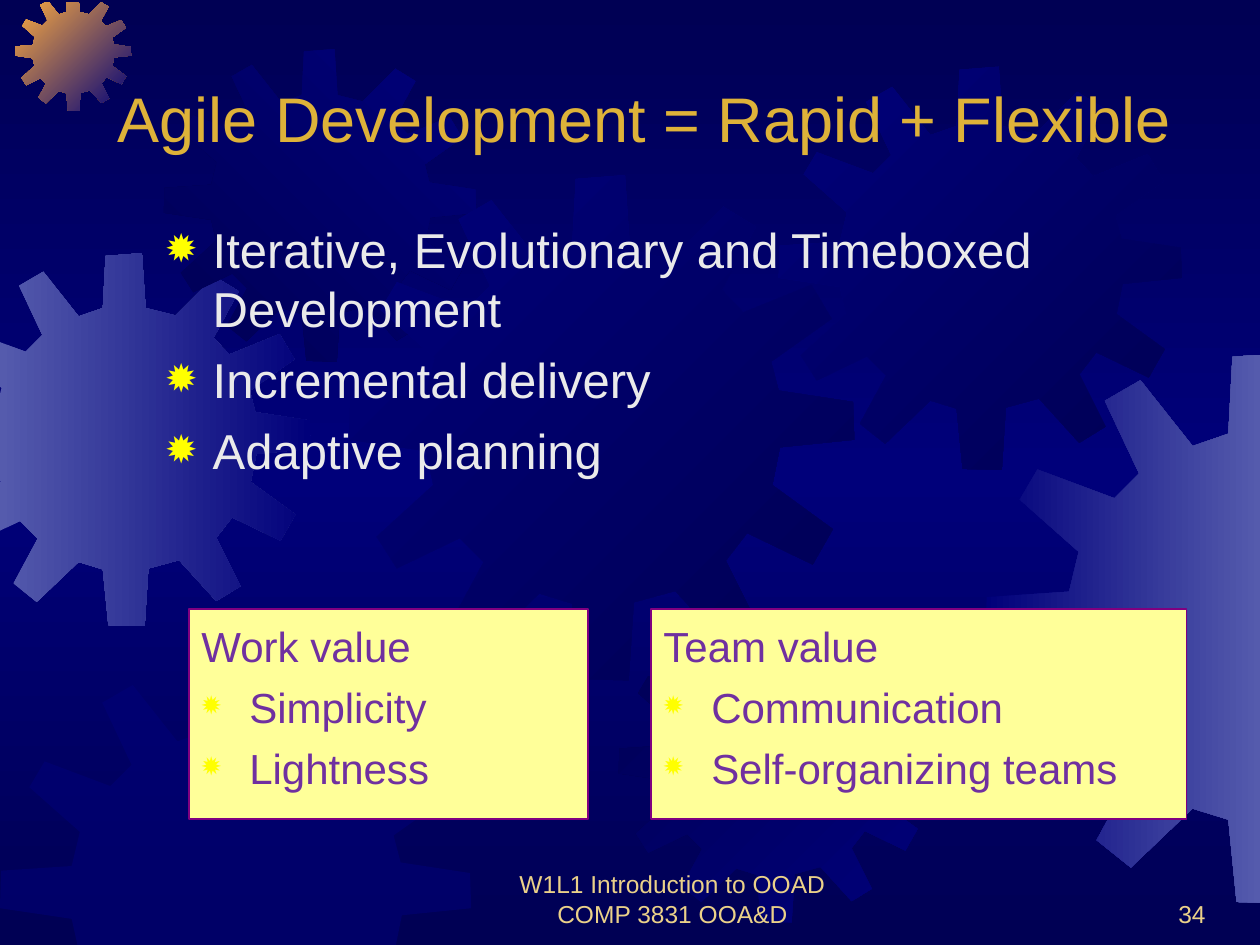
import copy
import dataclasses
import typing

import pptx
import pptx.dml.color
import pptx.enum.shapes
import pptx.enum.text
import pptx.oxml
import pptx.oxml.ns
import pptx.util

WIDTH, HEIGHT = 10, 7.5
UNIT = 1 / 12
NAVY, BLUE, LAVENDER = "000054", "00007A", "555BAD"
FONT = "Arial"
ALIGN = pptx.enum.text.PP_ALIGN
ANCHOR = pptx.enum.text.MSO_ANCHOR
GEAR_SPAN = 401
GEAR_OUTLINE = [
    (255, 67), (223, 59), (219, 0), (180, 3), (177, 59), (151, 68), (113, 20), (87, 35),
    (112, 88), (94, 106), (38, 85), (25, 107), (68, 145), (61, 174), (1, 178), (0, 210),
    (61, 219), (67, 246), (22, 287), (38, 312), (88, 288), (107, 307), (81, 355), (106, 375),
    (151, 332), (177, 340), (183, 400), (222, 401), (226, 339), (259, 330), (299, 374), (325, 358),
    (299, 306), (316, 284), (368, 309), (384, 281), (336, 246), (342, 216), (401, 210), (400, 180),
    (341, 171), (335, 148), (383, 114), (367, 87), (313, 109), (296, 91), (323, 41), (297, 25),
]
Point = typing.Tuple[float, float]


@dataclasses.dataclass
class Area:
    """A place on the grid of 120 columns by 90 rows."""
    column: float
    row: float
    columns: float
    rows: float

    def lengths(self) -> list:
        return [pptx.util.Inches(part * UNIT) for part in dataclasses.astuple(self)]


@dataclasses.dataclass
class Gear:
    """A background gear, in inches, with its gradient or half-clear colour."""
    left: float
    top: float
    size: float
    colors: typing.List[str]
    angle: float = 0


@dataclasses.dataclass
class Line:
    """One paragraph of text."""
    text: str
    bullet: bool = False
    right_margin: float = 0


@dataclasses.dataclass
class Style:
    """The look of the text in one box."""
    size: float
    color: str
    align: typing.Any = ALIGN.LEFT
    anchor: typing.Any = ANCHOR.TOP
    gap: float = 0


GEARS = [
    Gear(-0.49, 2.01, 2.96, [LAVENDER, BLUE]),
    Gear(0.12, -0.04, 0.92, ["FCAB40", BLUE], 45),
    Gear(1.3, 0.39, 2.48, [NAVY, BLUE], 315),
    Gear(2.77, 1.39, 4.01, [BLUE, NAVY], 45),
    Gear(0, 5.25, 3.74, [BLUE]),
    Gear(4.91, 4.84, 2.48, [NAVY, BLUE], 45),
    Gear(6.18, 0.53, 3.2, [BLUE, NAVY], 45),
    Gear(7.82, 2.8, 4.37, [BLUE, LAVENDER]),
]
PANELS = [
    (Area(62, 58, 51, 20), ["Team value", "Communication", "Self-organizing teams"]),
    (Area(18, 58, 38, 20), ["Work value", "Simplicity", "Lightness"]),
]


def color(code: str) -> pptx.dml.color.RGBColor:
    """Turn a hex string into a colour."""
    return pptx.dml.color.RGBColor.from_string(code)


def add_element(parent, tag: str, **attributes: str):
    """Append a drawing element to its parent."""
    child = pptx.oxml.parse_xml(f"<a:{tag} {pptx.oxml.ns.nsdecls('a')}/>")
    for name, value in attributes.items():
        child.set(name, value)
    parent.append(child)
    return child


def paint_gradient(fill, colors: typing.List[str], angle: float) -> None:
    """Fill with two colours along a clockwise angle."""
    fill.gradient()
    fill.gradient_angle = -angle % 360
    for stop, code in zip(fill.gradient_stops, colors):
        stop.color.rgb = color(code)


def paint_background(slide) -> None:
    """Shade the slide from navy to blue and back."""
    paint_gradient(slide.background.fill, [NAVY, BLUE], 90)
    stops = slide.element.find(".//" + pptx.oxml.ns.qn("a:gsLst"))
    last = copy.deepcopy(stops[0])
    last.set("pos", "100000")
    stops[1].set("pos", "50000")
    stops.append(last)


def clip(points: typing.List[Point], axis: int, limit: float, side: int) -> typing.List[Point]:
    """Cut an outline at a limit, keeping the side below (1) or above (-1)."""
    kept = []
    for start, end in zip(points[-1:] + points[:-1], points):
        start_inside = side * start[axis] <= side * limit
        end_inside = side * end[axis] <= side * limit
        if start_inside != end_inside:
            share = (limit - start[axis]) / (end[axis] - start[axis])
            kept.append(tuple(a + share * (b - a) for a, b in zip(start, end)))
        if end_inside:
            kept.append(end)
    return kept


def draw_gear(slide, gear: Gear) -> None:
    """Draw a gear cut at the slide's edges."""
    scale = gear.size / GEAR_SPAN
    points = [(gear.left + x * scale, gear.top + y * scale) for x, y in GEAR_OUTLINE]
    for axis, limit, side in [(0, 0, -1), (0, WIDTH, 1), (1, 0.02, -1), (1, HEIGHT, 1)]:
        points = clip(points, axis, limit, side)
    corners = [tuple(pptx.util.Inches(part) for part in point) for point in points]
    builder = slide.shapes.build_freeform(*corners[0])
    builder.add_line_segments(corners[1:], close=True)
    shape = builder.convert_to_shape()
    shape.shadow.inherit = False
    shape.line.fill.background()
    if len(gear.colors) > 1:
        paint_gradient(shape.fill, gear.colors, gear.angle)
    else:
        shape.fill.solid()
        shape.fill.fore_color.rgb = color(gear.colors[0])
        tint = shape.element.spPr.find(".//" + pptx.oxml.ns.qn("a:srgbClr"))
        add_element(tint, "alpha", val="50000")


def write(box, lines: typing.List[Line], style: Style) -> None:
    """Write styled paragraphs into a box."""
    frame = box.text_frame
    frame.word_wrap = True
    frame.vertical_anchor = style.anchor
    for index, line in enumerate(lines):
        para = frame.add_paragraph() if index else frame.paragraphs[0]
        properties = para._p.get_or_add_pPr()
        if line.bullet:
            indent = pptx.util.Inches(0.38)
            properties.set("marL", str(indent))
            properties.set("indent", str(-indent))
            add_element(add_element(properties, "buClr"), "srgbClr", val="FFFF00")
            add_element(properties, "buSzPct", val="80000")
            add_element(properties, "buChar", char="✹")
        if line.right_margin:
            properties.set("marR", str(pptx.util.Inches(line.right_margin)))
        para.alignment = style.align
        para.space_before = pptx.util.Pt(style.gap if index else 0)
        span = para.add_run()
        span.text = line.text
        span.font.name = FONT
        span.font.size = pptx.util.Pt(style.size)
        span.font.color.rgb = color(style.color)


def place(slide, box, area: Area) -> None:
    """Move a placeholder to an area and bring it to the front."""
    box.left, box.top, box.width, box.height = area.lengths()
    slide.shapes._spTree.append(box.element)


def draw_panel(slide, area: Area, texts: typing.List[str]) -> None:
    """Draw a yellow panel with a heading and its bulleted values."""
    panel = slide.shapes.add_shape(pptx.enum.shapes.MSO_SHAPE.RECTANGLE, *area.lengths())
    panel.shadow.inherit = False
    panel.fill.solid()
    panel.fill.fore_color.rgb = color("FFFF99")
    panel.line.color.rgb = color("800080")
    panel.line.width = pptx.util.Pt(0.75)
    panel.text_frame.margin_top = pptx.util.Inches(0.09)
    lines = [Line(text, bullet=index > 0) for index, text in enumerate(texts)]
    write(panel, lines, Style(24, "7030A0", gap=6))


def main() -> None:
    """Build the slide and save the deck."""
    deck = pptx.Presentation()
    deck.slide_width, deck.slide_height = pptx.util.Inches(WIDTH), pptx.util.Inches(HEIGHT)
    slide = deck.slides.add_slide(deck.slide_layouts[1])
    paint_background(slide)
    for gear in GEARS:
        draw_gear(slide, gear)
    title, body = slide.placeholders
    place(slide, title, Area(10, 7, 106, 8.4))
    write(title, [Line("Agile Development = Rapid + Flexible")], Style(36, "DEB239", anchor=ANCHOR.BOTTOM))
    footer = slide.shapes.add_textbox(*Area(46, 83, 38, 6).lengths())
    footer_lines = [Line("W1L1 Introduction to OOAD", right_margin=0.16), Line("COMP 3831 OOA&D")]
    write(footer, footer_lines, Style(14, "EBD189", ALIGN.CENTER, ANCHOR.BOTTOM))
    number = slide.shapes.add_textbox(*Area(91, 83, 25, 6).lengths())
    write(number, [Line("34")], Style(14, "EBD189", ALIGN.RIGHT, ANCHOR.BOTTOM))
    place(slide, body, Area(14.5, 20.3, 91, 37.7))
    topics = ["Iterative, Evolutionary and Timeboxed Development", "Incremental delivery", "Adaptive planning"]
    write(body, [Line(topic, bullet=True) for topic in topics], Style(28, "EAEAEA", gap=7))
    for area, texts in PANELS:
        draw_panel(slide, area, texts)
    deck.save("out.pptx")


if __name__ == "__main__":
    main()
